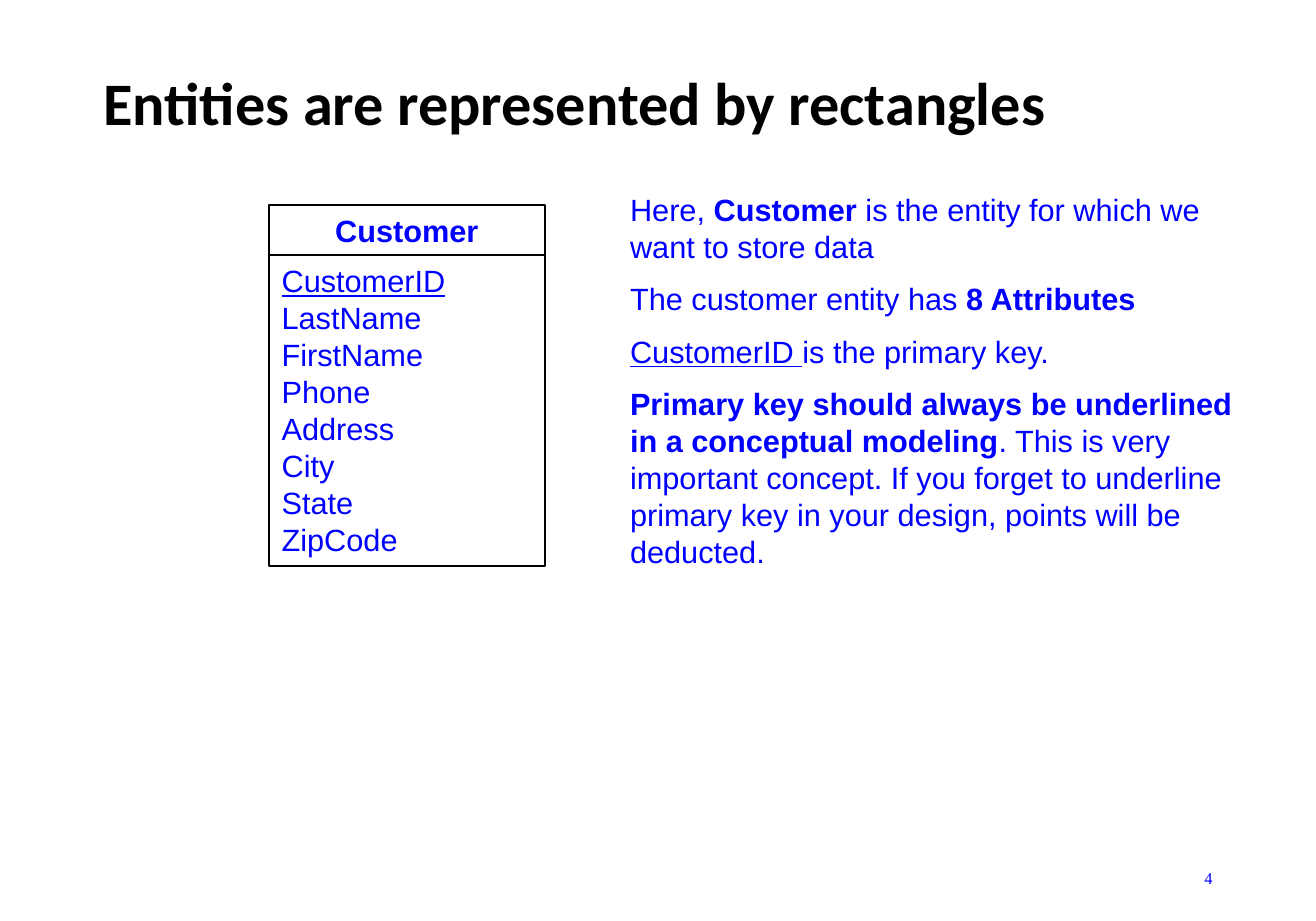
from dataclasses import dataclass
from pptx import Presentation
from pptx.dml.color import RGBColor
from pptx.enum import shapes, text
from pptx.util import Pt


@dataclass(frozen=True)
class Theme:
    """Colours, fonts and type sizes of the slide."""
    ink: RGBColor = RGBColor(0, 0, 0)
    blue: RGBColor = RGBColor(0, 0, 255)
    title_font: str = "Calibri"
    body_font: str = "Arial"
    number_font: str = "Times New Roman"
    title_size: float = 33
    body_size: float = 16.8
    number_size: float = 9
    body_leading: float = 20.25
    paragraph_gap: float = 8.4
    border: float = 1


THEME = Theme()
PLAIN, BOLD, UNDERLINED = "plain", "bold", "underlined"
TITLE = "Entities are represented by rectangles"
ENTITY = "Customer"
ATTRIBUTES = ["CustomerID", "LastName", "FirstName", "Phone",
              "Address", "City", "State", "ZipCode"]
NOTES = [
    [("Here, ", PLAIN), ("Customer", BOLD),
     (" is the entity for which we want to store data", PLAIN)],
    [("The customer entity has ", PLAIN), ("8 Attributes", BOLD)],
    [("CustomerID ", UNDERLINED), ("is the primary key.", PLAIN)],
    [("Primary key should always be underlined in a conceptual modeling", BOLD),
     (". This is very important concept. If you forget to underline primary key "
      "in your design, points will be deducted.", PLAIN)],
]


def write(holder, paragraphs, font=THEME.body_font, size=THEME.body_size,
          color=THEME.blue, align=text.PP_ALIGN.LEFT,
          anchor=text.MSO_ANCHOR.TOP, leading=Pt(THEME.body_leading), gap=0):
    """Fill a shape with paragraphs made of (wording, style) runs."""
    frame = holder.text_frame
    frame.word_wrap = True
    frame.vertical_anchor = anchor
    for index, runs in enumerate(paragraphs):
        paragraph = frame.add_paragraph() if index else frame.paragraphs[0]
        paragraph.alignment = align
        paragraph.line_spacing = leading
        if index and gap:
            paragraph.space_before = Pt(gap)
        for wording, style in runs:
            run = paragraph.add_run()
            run.text = wording
            run.font.name = font
            run.font.size = Pt(size)
            run.font.color.rgb = color
            run.font.bold = style == BOLD
            run.font.underline = style == UNDERLINED


def add_title(slide, left, top, width, height):
    """Place the slide title, centred vertically in its box."""
    title = slide.shapes.add_textbox(Pt(left), Pt(top), Pt(width), Pt(height))
    write(title, [[(TITLE, BOLD)]], THEME.title_font, THEME.title_size,
          THEME.ink, anchor=text.MSO_ANCHOR.MIDDLE, leading=0.9)


def add_entity(slide, left, top, width, height, header_height=27.4):
    """Draw the entity as a name compartment over an attribute compartment."""
    attributes = [[(name, PLAIN if index else UNDERLINED)]
                  for index, name in enumerate(ATTRIBUTES)]
    compartments = [
        (0, header_height, [[(ENTITY, BOLD)]], text.PP_ALIGN.CENTER),
        (header_height, height - header_height, attributes, text.PP_ALIGN.LEFT),
    ]
    for offset, depth, paragraphs, align in compartments:
        compartment = slide.shapes.add_shape(
            shapes.MSO_SHAPE.RECTANGLE,
            Pt(left), Pt(top + offset), Pt(width), Pt(depth))
        compartment.shadow.inherit = False
        compartment.fill.background()
        compartment.line.color.rgb = THEME.ink
        compartment.line.width = Pt(THEME.border)
        write(compartment, paragraphs, align=align)


def add_notes(slide, left, top, width, height):
    """Place the explanation beside the entity."""
    notes = slide.shapes.add_textbox(Pt(left), Pt(top), Pt(width), Pt(height))
    write(notes, NOTES, gap=THEME.paragraph_gap)


def add_page_number(slide, left, top, width, height):
    """Place the page number at the right of its box."""
    number = slide.shapes.add_textbox(Pt(left), Pt(top), Pt(width), Pt(height))
    write(number, [[("4", PLAIN)]], THEME.number_font, THEME.number_size,
          align=text.PP_ALIGN.RIGHT, anchor=text.MSO_ANCHOR.MIDDLE, leading=1.0)


def main():
    """Build and save the slide."""
    deck = Presentation()
    deck.slide_width, deck.slide_height = Pt(720), Pt(504)
    slide = deck.slides.add_slide(deck.slide_layouts[6])
    add_title(slide, 49.5, 26.8, 621, 62)
    add_page_number(slide, 508.5, 467.2, 162, 26.8)
    add_entity(slide, 147, 112.3, 151.2, 197.3)
    add_notes(slide, 337.6, 100.8, 347, 251.3)
    deck.save("out.pptx")


if __name__ == "__main__":
    main()
